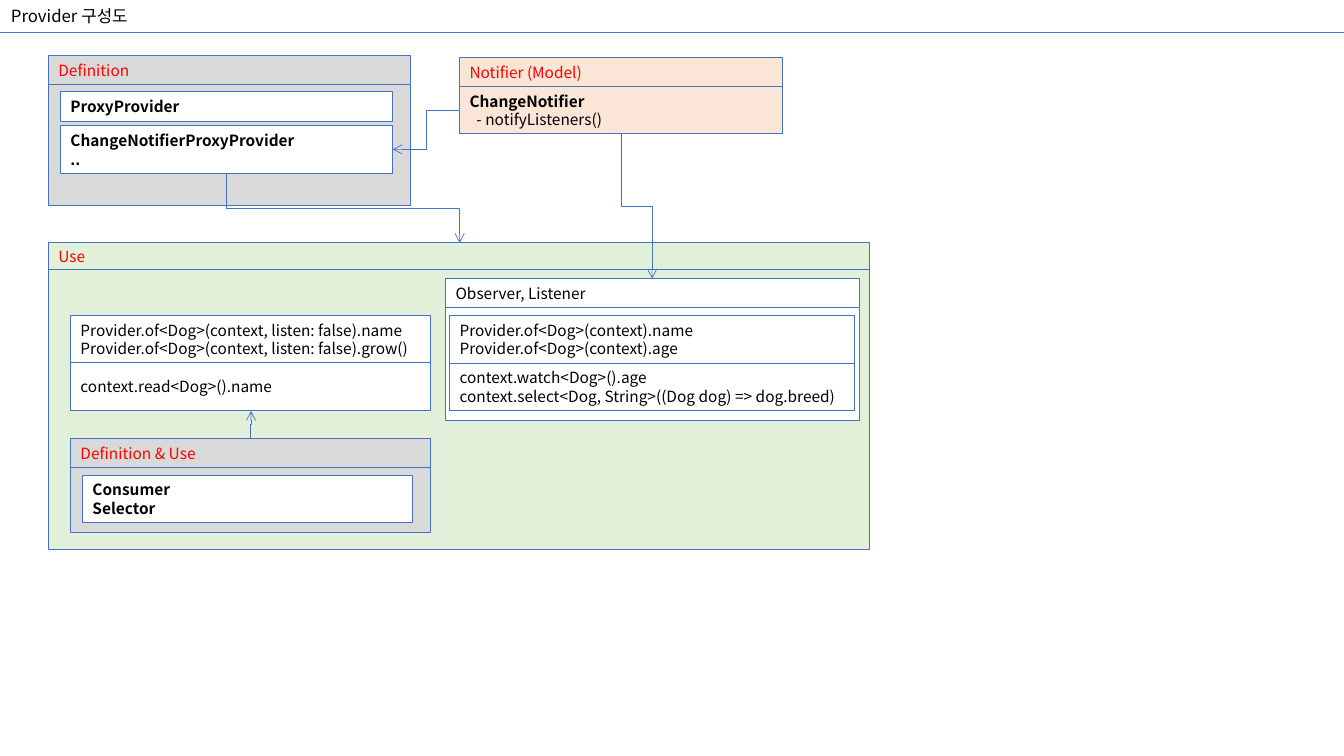
from dataclasses import dataclass
from lxml.etree import SubElement
from pptx import Presentation
from pptx.dml.color import RGBColor
from pptx.enum.shapes import MSO_CONNECTOR, MSO_SHAPE
from pptx.enum.text import MSO_ANCHOR, PP_ALIGN
from pptx.oxml.ns import qn
from pptx.util import Pt


@dataclass(frozen=True)
class Theme:
    """Colours, font and sizes used on the slide."""
    font: str = "Noto Sans CJK KR"
    title: float = 12
    body: float = 11
    leading: float = 1.2
    box_line: float = 0.75
    rule_line: float = 0.5
    line: str = "4472C4"
    text: str = "000000"
    accent: str = "FF0000"
    white: str = "FFFFFF"
    gray: str = "D9D9D9"
    green: str = "E2F0D9"
    peach: str = "FBE5D6"


T = Theme()
HEAD = 20.9   # header bar height
ROW = 33.8    # height of a two-line box


def rgb(value):
    """Turn a hex string into a colour."""
    return RGBColor.from_string(value)


def write(sp, lines, size=T.body, color=T.text, bold=False):
    """Fill a shape with left-aligned lines of text."""
    tf = sp.text_frame
    tf.word_wrap = True
    tf.vertical_anchor = MSO_ANCHOR.MIDDLE
    tf.text = "\n".join(lines)
    for p in tf.paragraphs:
        p.alignment = PP_ALIGN.LEFT
        p.line_spacing = Pt(size * T.leading)
        for r in p.runs:
            r.font.name = T.font
            r.font.size = Pt(size)
            r.font.bold = bold
            r.font.color.rgb = rgb(color)
            SubElement(r.font._element, qn("a:ea"), typeface=T.font)
    return tf


def add_box(s, x, y, w, h, fill=T.white, lines=(), **style):
    """Add an outlined rectangle, with text if any is given."""
    sp = s.shapes.add_shape(MSO_SHAPE.RECTANGLE, Pt(x), Pt(y), Pt(w), Pt(h))
    sp.shadow.inherit = False
    sp.fill.solid()
    sp.fill.fore_color.rgb = rgb(fill)
    sp.line.color.rgb = rgb(T.line)
    sp.line.width = Pt(T.box_line)
    if lines:
        write(sp, lines, **style)
    return sp


def add_panel(s, x, y, w, h, title, fill, color=T.accent, head=HEAD):
    """Add a panel with a header bar; return its body shape."""
    body = add_box(s, x, y + head, w, h - head, fill)
    add_box(s, x, y, w, head, fill, [title], color=color)
    return body


def add_line(s, kind, x1, y1, x2, y2):
    """Add a thin line without shadow."""
    c = s.shapes.add_connector(kind, Pt(x1), Pt(y1), Pt(x2), Pt(y2))
    c.line.color.rgb = rgb(T.line)
    c.line.width = Pt(T.rule_line)
    SubElement(c._element.spPr, qn("a:effectLst"))
    return c


def add_arrow(s, x1, y1, x2, y2, vertical=True):
    """Add an elbow arrow that leaves vertically or horizontally."""
    if vertical:
        cx, cy = (x1 + x2) / 2, (y1 + y2) / 2
        down = 1 if y2 > y1 else -1
        half_len, half_w = abs(y2 - y1) / 2, down * (x2 - x1) / 2
        c = add_line(s, MSO_CONNECTOR.ELBOW, cx + half_len, cy - half_w,
                     cx - half_len, cy + half_w)
        degrees = 270 if down > 0 else 90
        c._element.spPr.find(qn("a:xfrm")).set("rot", str(degrees * 60000))
    else:
        c = add_line(s, MSO_CONNECTOR.ELBOW, x1, y1, x2, y2)
    SubElement(c.line._get_or_add_ln(), qn("a:tailEnd"), type="arrow")


def title_bar(s, x, y, w, h):
    """Slide title with a rule below it."""
    sp = s.shapes.add_textbox(Pt(x + 0.7), Pt(y + 0.7), Pt(w / 2), Pt(21.6))
    write(sp, ["Provider 구성도"], size=T.title)
    add_line(s, MSO_CONNECTOR.STRAIGHT, x, y + h, x + w, y + h)


def definition(s, x, y, w, h):
    """Panel of the provider classes."""
    add_panel(s, x, y, w, h, "Definition", T.gray)
    add_box(s, x + 8.6, y + 26, w - 21.6, HEAD, lines=["ProxyProvider"], bold=True)
    add_box(s, x + 8.6, y + 50.4, w - 21.6, ROW,
            lines=["ChangeNotifierProxyProvider", ".."], bold=True)


def notifier(s, x, y, w, h):
    """Panel of the model that notifies."""
    body = add_panel(s, x, y, w, h, "Notifier (Model)", T.peach)
    tf = write(body, ["ChangeNotifier", "- notifyListeners()"], bold=True)
    p = tf.paragraphs[1]
    p.runs[0].font.bold = False
    p._p.get_or_add_pPr().set("marL", str(Pt(5)))


def call_rows(s, x, y, w, rows):
    """Stack boxes of code lines."""
    for i, lines in enumerate(rows):
        add_box(s, x, y + i * ROW, w, ROW, lines=lines)


def definition_and_use(s, x, y, w, h):
    """Panel of the widgets that define and use."""
    add_panel(s, x, y, w, h, "Definition & Use", T.gray)
    add_box(s, x + 8.6, y + 26, w - 21.6, ROW, lines=["Consumer", "Selector"], bold=True)


def observer(s, x, y, w, h):
    """Panel of the calls that listen."""
    add_panel(s, x, y, w, h, "Observer, Listener", T.white, T.text)
    call_rows(s, x + 2.9, y + 26.7, w - 7, [
        ["Provider.of<Dog>(context).name", "Provider.of<Dog>(context).age"],
        ["context.watch<Dog>().age",
         "context.select<Dog, String>((Dog dog) => dog.breed)"]])


def use(s, x, y, w, h):
    """Panel of the ways to read a provider."""
    add_panel(s, x, y, w, h, "Use", T.green, head=18.7)
    call_rows(s, x + 15.8, y + 51.9, 257, [
        ["Provider.of<Dog>(context, listen: false).name",
         "Provider.of<Dog>(context, listen: false).grow()"],
        ["context.read<Dog>().name"]])
    definition_and_use(s, x + 15.8, y + 139.9, 257, 67)
    observer(s, x + 283.7, y + 25.4, 295.9, 101.5)


def arrows(s):
    """Arrows between the panels."""
    add_arrow(s, 328.3, 78.6, 280.6, 106.7, vertical=False)
    add_arrow(s, 162, 123.8, 328.3, 173.5)
    add_arrow(s, 443.5, 95.8, 465.8, 198.9)
    add_arrow(s, 178.6, 313.4, 179.3, 293.6)


prs = Presentation()
prs.slide_width, prs.slide_height = Pt(960), Pt(540)
s = prs.slides.add_slide(prs.slide_layouts[6])
title_bar(s, 0, 0, 960, 23)
use(s, 34.6, 173.5, 586.8, 218.9)
definition(s, 34.6, 39.6, 258.5, 107.3)
notifier(s, 328.3, 41, 230.4, 54.7)
arrows(s)
prs.save("out.pptx")
